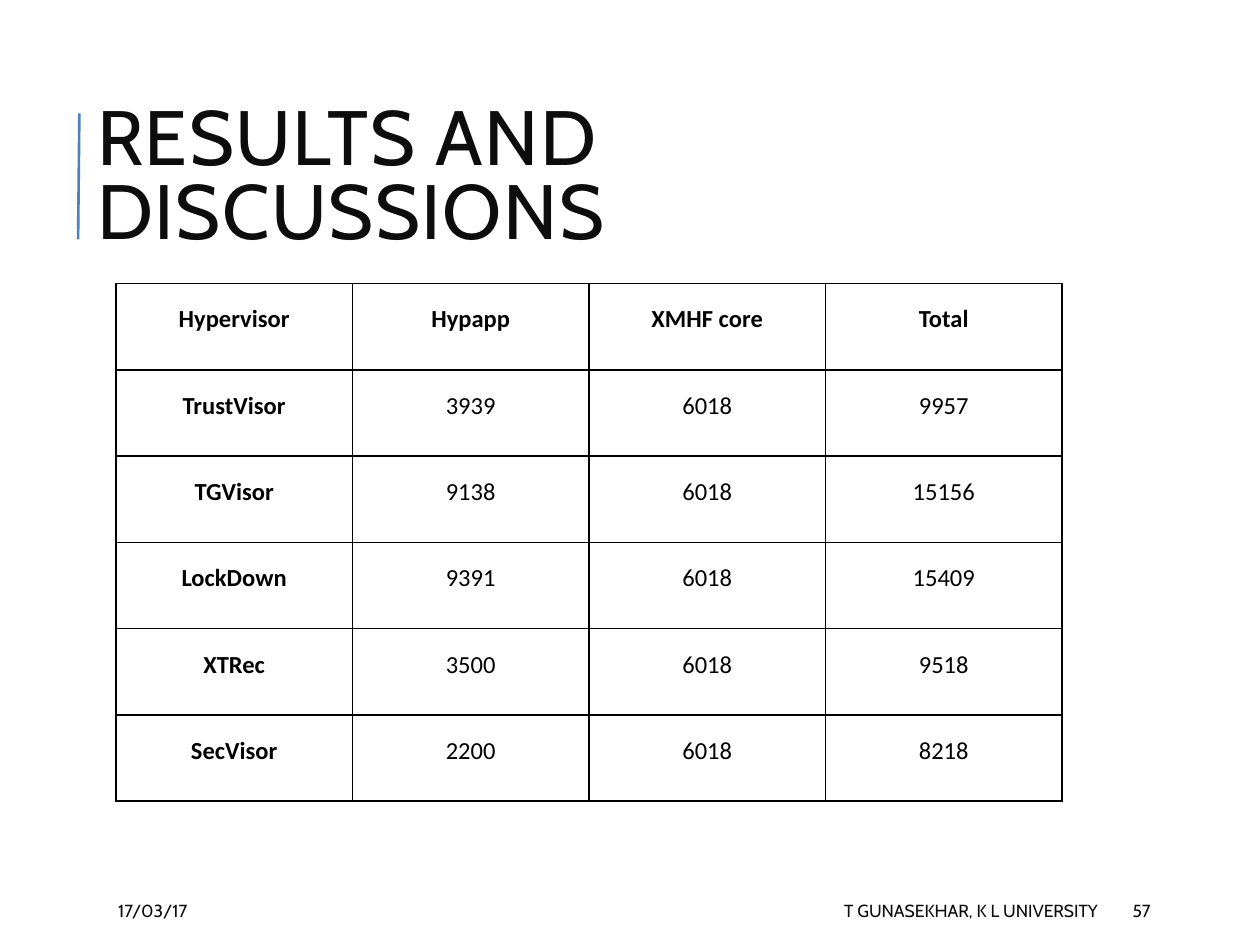
from dataclasses import dataclass

from lxml.etree import SubElement
from pptx import Presentation
from pptx.dml.color import RGBColor
from pptx.enum.shapes import MSO_CONNECTOR
from pptx.enum.text import MSO_ANCHOR, MSO_AUTO_SIZE, PP_ALIGN
from pptx.oxml.ns import qn
from pptx.util import Inches, Pt


@dataclass(frozen=True)
class Theme:
    """Fonts, type sizes and colours of the slide."""
    heading_font: str = "Cabin"
    table_font: str = "Calibri"
    title_size: float = 44
    table_size: float = 14
    footer_size: float = 10
    ink: str = "0D0D0D"
    accent: str = "4F81BD"
    grid: str = "000000"
    paper: str = "FFFFFF"


class SlideBuilder:
    """Adds styled elements to one slide."""

    def __init__(self, s, theme):
        self.s = s
        self.theme = theme

    def style(self, p, font, size, color, align=PP_ALIGN.LEFT, bold=False):
        p.alignment = align
        p.font.name = font
        p.font.size = Pt(size)
        p.font.bold = bold
        p.font.color.rgb = RGBColor.from_string(color)

    def title(self, text, left, top, width, height):
        sp = self.s.shapes.title
        sp.left, sp.top = Inches(left), Inches(top)
        sp.width, sp.height = Inches(width), Inches(height)
        tf = sp.text_frame
        tf.text = text
        tf.word_wrap = True
        tf.auto_size = MSO_AUTO_SIZE.NONE
        tf.vertical_anchor = MSO_ANCHOR.MIDDLE
        p = tf.paragraphs[0]
        self.style(p, self.theme.heading_font, self.theme.title_size, self.theme.ink)
        p.line_spacing = 0.8
        p.runs[0].font._element.set("spc", "90")

    def accent_line(self, x1, y1, x2, y2):
        cx = self.s.shapes.add_connector(
            MSO_CONNECTOR.STRAIGHT, Inches(x1), Inches(y1), Inches(x2), Inches(y2))
        cx.line.color.rgb = RGBColor.from_string(self.theme.accent)
        cx.line.width = Pt(1.5)
        SubElement(cx._element.spPr, qn("a:effectLst"))

    def footer(self, text, left, width, align=PP_ALIGN.LEFT):
        sp = self.s.shapes.add_textbox(
            Inches(left), Inches(7.08), Inches(width), Inches(0.3))
        tf = sp.text_frame
        tf.text = text
        tf.word_wrap = True
        tf.vertical_anchor = MSO_ANCHOR.MIDDLE
        self.style(tf.paragraphs[0], self.theme.heading_font,
                   self.theme.footer_size, self.theme.ink, align)

    def borders(self, cell):
        tcPr = cell._tc.get_or_add_tcPr()
        for side in ("a:lnL", "a:lnR", "a:lnT", "a:lnB"):
            ln = SubElement(tcPr, qn(side), w=str(Pt(0.96)))
            fill = SubElement(ln, qn("a:solidFill"))
            SubElement(fill, qn("a:srgbClr"), val=self.theme.grid)

    def table(self, rows, left, top, width, height):
        tbl = self.s.shapes.add_table(
            len(rows), len(rows[0]), Inches(left), Inches(top),
            Inches(width), Inches(height)).table
        for i, row in enumerate(rows):
            for j, value in enumerate(row):
                cell = tbl.cell(i, j)
                cell.text = str(value)
                cell.margin_left = cell.margin_right = Inches(0.06)
                self.borders(cell)
                cell.fill.solid()
                cell.fill.fore_color.rgb = RGBColor.from_string(self.theme.paper)
                p = cell.text_frame.paragraphs[0]
                self.style(p, self.theme.table_font, self.theme.table_size,
                           self.theme.grid, PP_ALIGN.CENTER, i == 0 or j == 0)
                p.line_spacing = 1.5


def main():
    prs = Presentation()
    prs.slide_width, prs.slide_height = Inches(10), Inches(7.5)
    b = SlideBuilder(prs.slides.add_slide(prs.slide_layouts[5]), Theme())

    b.accent_line(0.62, 1.9, 0.63, 0.9)
    b.title("RESULTS AND DISCUSSIONS", 0.67, 1.07, 8.08, 0.72)
    b.footer("17/03/17", 0.84, 1.77)
    b.footer("T GUNASEKHAR, K L UNIVERSITY", 3.97, 4.84, PP_ALIGN.RIGHT)
    b.footer("57", 8.89, 0.8)

    core = 6018
    hypapps = {"TrustVisor": 3939, "TGVisor": 9138, "LockDown": 9391,
               "XTRec": 3500, "SecVisor": 2200}
    rows = [("Hypervisor", "Hypapp", "XMHF core", "Total")]
    rows += [(name, size, core, size + core) for name, size in hypapps.items()]
    b.table(rows, 0.92, 2.25, 7.51, 4.11)

    prs.save("out.pptx")


if __name__ == "__main__":
    main()
